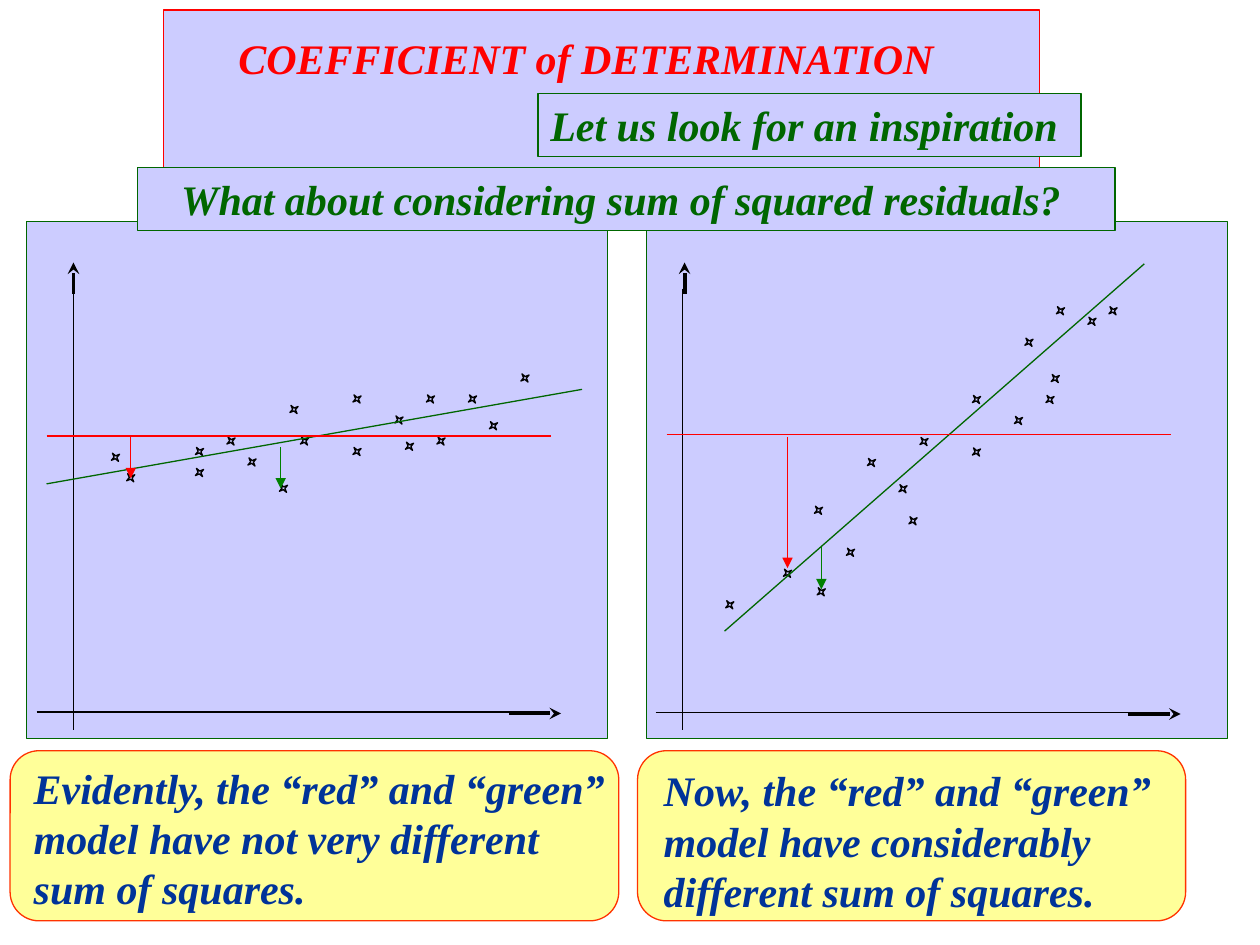
from dataclasses import dataclass
from math import cos, pi, sin

from lxml.etree import SubElement
from pptx import Presentation
from pptx.dml.color import RGBColor as Color
from pptx.enum.shapes import MSO_CONNECTOR as Connector, MSO_SHAPE as Shape
from pptx.enum.text import MSO_ANCHOR as Anchor, PP_ALIGN as Align
from pptx.oxml.ns import qn
from pptx.util import Pt


@dataclass(frozen=True)
class Theme:
    font: str = "Times New Roman"
    size: float = 24
    thin: float = 0.75
    thick: float = 2.25
    panel: str = "CCCCFF"
    note: str = "FFFF99"
    note_edge: str = "FF3300"
    note_text: str = "003399"
    red: str = "FF0000"
    green: str = "006600"
    light_green: str = "008000"
    black: str = "000000"


theme = Theme()
deck = Presentation()
deck.slide_width, deck.slide_height = Pt(720), Pt(540)
page = deck.slides.add_slide(deck.slide_layouts[5])
shapes = page.shapes


def style_shape(shape, fill, edge):
    shape.shadow.inherit = False
    if fill:
        shape.fill.solid()
        shape.fill.fore_color.rgb = Color.from_string(fill)
    else:
        shape.fill.background()
    shape.line.color.rgb = Color.from_string(edge)
    shape.line.width = Pt(theme.thin)
    return shape


def write(box, text, color, indent=0):
    frame = box.text_frame
    frame.word_wrap = True
    frame.vertical_anchor = Anchor.TOP
    frame.margin_left = frame.margin_right = Pt(7.2)
    frame.margin_top = frame.margin_bottom = Pt(3.6)
    for index, words in enumerate(text.split("\n")):
        para = frame.add_paragraph() if index else frame.paragraphs[0]
        para.alignment = Align.LEFT
        para._p.get_or_add_pPr().set("marL", str(Pt(indent)))
        span = para.add_run()
        span.text = words
        span.font.name = theme.font
        span.font.size = Pt(theme.size)
        span.font.bold = span.font.italic = True
        span.font.color.rgb = Color.from_string(color)


# Title on its backdrop
backdrop = shapes.add_shape(Shape.RECTANGLE, Pt(93.6), Pt(5.8), Pt(500.4), Pt(93.6))
style_shape(backdrop, theme.panel, theme.red)
title = shapes.title
title.left, title.top, title.width, title.height = Pt(105), Pt(15.2), Pt(467.3), Pt(36)
write(title, "COEFFICIENT of DETERMINATION", theme.red, indent=24)
backdrop._element.addnext(title._element)

# Chart panels: frame left, lines (from, to, colour, width, arrowhead), point centres
panels = [
    (15.1,
     [((42, 165), (42, 417), theme.black, theme.thin, None),
      ((21, 406.8), (296.6, 406.8), theme.black, theme.thin, None),
      ((42, 167.8), (42, 150), theme.black, theme.thick, "stealth"),
      ((290.9, 407.7), (320.6, 407.7), theme.black, theme.thick, "stealth"),
      ((26.6, 276.5), (332.6, 222.5), theme.green, theme.thin, None),
      ((26.6, 249.2), (314.6, 249.2), theme.red, theme.thin, None),
      ((160.4, 255.4), (160.4, 279.2), theme.light_green, theme.thin, "triangle"),
      ((74.7, 249.2), (74.7, 273.4), theme.red, theme.thin, "triangle")],
     [(300, 216), (270, 228), (234, 255), (246, 228), (282, 243.3), (204, 228),
      (228, 240), (174, 252), (252, 252), (144, 264), (162, 279), (66, 261.3),
      (204, 258), (114, 270), (74.7, 273), (114, 258), (132, 252), (168, 234)]),
    (369.3,
     [((390, 165), (390, 417), theme.black, theme.thin, None),
      ((374.7, 407), (650.9, 407), theme.black, theme.thin, None),
      ((391.2, 167.8), (391.2, 150), theme.black, theme.thick, "stealth"),
      ((644.7, 408), (674.7, 408), theme.black, theme.thick, "stealth"),
      ((414, 360.7), (653.9, 150.8), theme.green, theme.thin, None),
      ((380.9, 248.3), (668.9, 248.3), theme.red, theme.thin, None),
      ((469.4, 312.5), (469.4, 336.8), theme.light_green, theme.thin, "triangle"),
      ((450, 249.6), (450, 324.6), theme.red, theme.thin, "triangle")],
     [(603, 216.3), (624, 183.6), (588, 195.6), (600, 228.3), (636, 177.6),
      (558, 228.3), (582, 240.3), (528, 252.3), (606, 177.6), (498, 264.3),
      (516, 279.3), (417, 345.6), (558, 258.3), (469.3, 338.2), (450, 327.6),
      (467.7, 291.6), (486, 315.6), (521.7, 297.6)]),
]

# Four-pointed star outline around its centre
star = [((2.9, 0.85)[k % 2] * cos(k * pi / 4), (2.9, 0.85)[k % 2] * sin(k * pi / 4))
        for k in range(8)]

for left, lines, points in panels:
    frame_box = shapes.add_shape(Shape.RECTANGLE, Pt(left), Pt(126.7), Pt(332), Pt(295.2))
    style_shape(frame_box, theme.panel, theme.green)

    for x, y in points:
        corners = [(Pt(x + dx), Pt(y + dy)) for dx, dy in star]
        builder = shapes.build_freeform(*corners[0], scale=1.0)
        builder.add_line_segments(corners[1:], close=True)
        marker = style_shape(builder.convert_to_shape(), None, theme.black)
        marker.rotation = 143.4

    for start, end, color, width, head in lines:
        line = shapes.add_connector(Connector.STRAIGHT, *map(Pt, start + end))
        line.line.color.rgb = Color.from_string(color)
        line.line.width = Pt(width)
        if head:
            SubElement(line.line._get_or_add_ln(), qn("a:tailEnd"), type=head)
        SubElement(line._element.spPr, qn("a:effectLst"))

# Headline banners
banners = [
    (307.4, 53.3, 310.3, "Let us look for an inspiration", 0),
    (78.5, 95.8, 558.7, "What about considering sum of squared residuals?", 18),
]
for left, top, width, text, indent in banners:
    banner = shapes.add_shape(Shape.RECTANGLE, Pt(left), Pt(top), Pt(width), Pt(36))
    style_shape(banner, theme.panel, theme.green)
    write(banner, text, theme.green, indent)

# Conclusions: card left and width, text left, top and width
conclusions = [
    (5.8, 347.8, 12.2, 432, 347.8,
     "Evidently, the “red” and “green”\nmodel have not very different\nsum of squares."),
    (364.3, 313.2, 372.2, 433.6, 299.5,
     "Now, the “red” and “green”\nmodel have considerably\ndifferent sum of squares."),
]
for card_left, card_width, left, top, width, text in conclusions:
    card = shapes.add_shape(Shape.ROUNDED_RECTANGLE, Pt(card_left), Pt(429), Pt(card_width), Pt(97.2))
    card.adjustments[0] = 0.17
    style_shape(card, theme.note, theme.note_edge)
    write(shapes.add_textbox(Pt(left), Pt(top), Pt(width), Pt(93.6)), text, theme.note_text)

deck.save("out.pptx")
